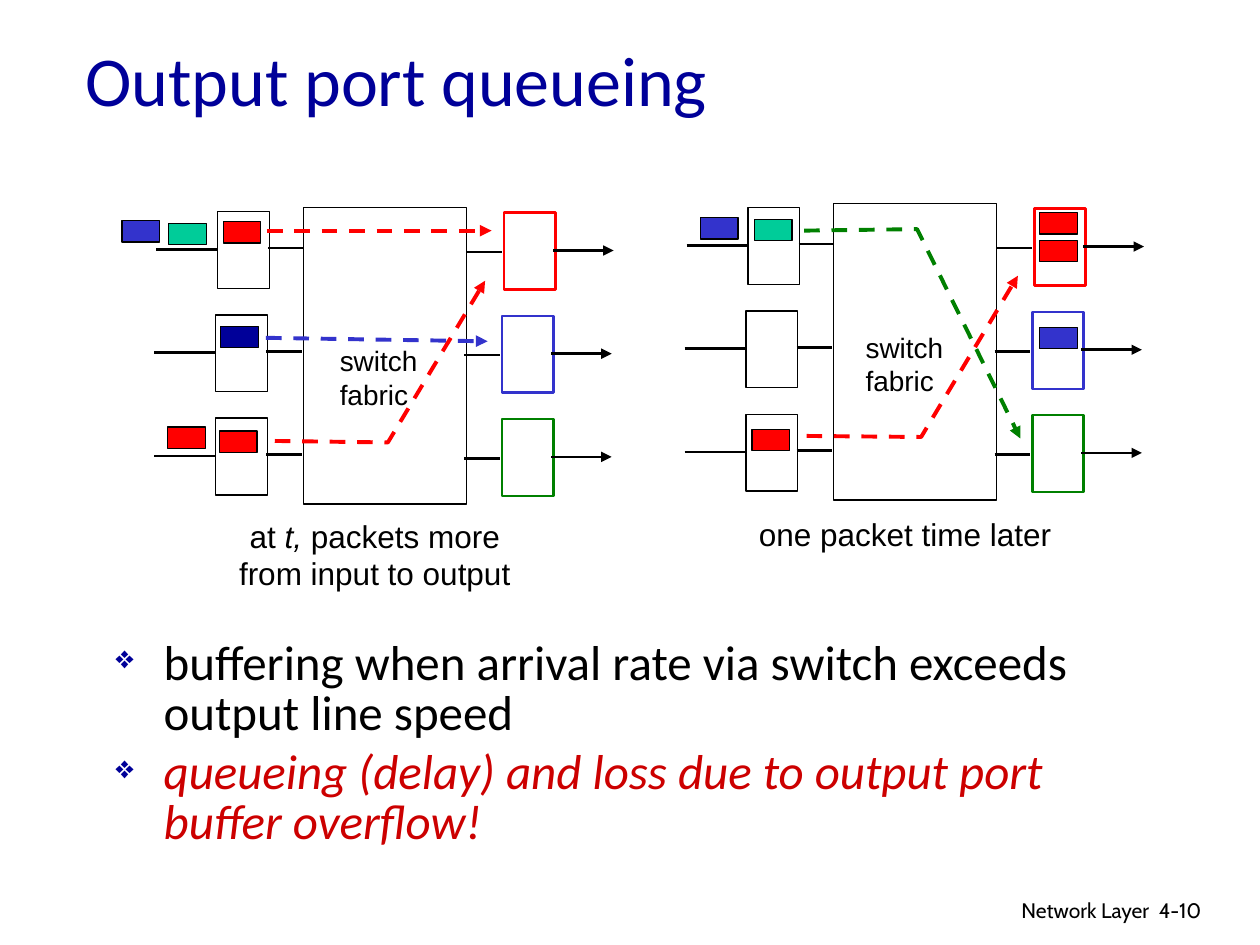
import dataclasses
import typing

import lxml.etree
import pptx
import pptx.dml.color
import pptx.enum.dml
import pptx.enum.shapes
import pptx.enum.text
import pptx.oxml.ns
import pptx.util

Cm = pptx.util.Cm
Pt = pptx.util.Pt
qn = pptx.oxml.ns.qn
Align = pptx.enum.text.PP_ALIGN


@dataclasses.dataclass(frozen=True)
class Theme:
    black: str = "000000"
    white: str = "FFFFFF"
    navy: str = "000099"
    red: str = "FF0000"
    blue: str = "3333CC"
    green: str = "008000"
    teal: str = "00CC99"
    crimson: str = "CC0000"
    heading_font: str = "Calibri"
    diagram_font: str = "Arial"
    footer_font: str = "Cabin"
    title_size: float = 40
    body_size: float = 28
    caption_size: float = 18
    label_size: float = 16
    footer_size: float = 12
    thin: float = 0.75
    medium: float = 1.5
    thick: float = 2.25


THEME = Theme()


class Box(typing.NamedTuple):
    left: float
    top: float
    width: float
    height: float


class Point(typing.NamedTuple):
    x: float
    y: float


class Packet(typing.NamedTuple):
    left: float
    top: float
    color: str


class Route(typing.NamedTuple):
    color: str
    points: tuple[Point, ...]


class Link(typing.NamedTuple):
    dx: float
    dy: float
    length: float
    arrow: bool = False


class TextStyle(typing.NamedTuple):
    font: str
    size: float
    color: str = THEME.black
    align: typing.Any = Align.LEFT


FABRIC_WIDTH, FABRIC_HEIGHT = 3.28, 5.97
PORT_WIDTH, PORT_HEIGHT = 1.04, 1.55
PACKET_WIDTH, PACKET_HEIGHT = 0.76, 0.43
ROW_PITCH, ROW_SHIFT = 2.08, -0.04
INPUT_PORT, OUTPUT_PORT = Point(-1.73, 0.08), Point(4.04, 0.1)
LINKS = (
    Link(3.28, 0.89, 0.71),
    Link(-0.71, 0.81, 0.71),
    Link(-2.97, 0.84, 1.23),
    Link(5.03, 0.86, 1.22, arrow=True),
)
SWITCHES = (Point(6.12, 4.19), Point(16.81, 4.11))
PACKETS = (
    Packet(2.46, 4.45, THEME.blue),
    Packet(3.4, 4.5, THEME.teal),
    Packet(4.5, 4.47, THEME.red),
    Packet(4.45, 6.58, THEME.navy),
    Packet(3.38, 8.61, THEME.red),
    Packet(4.42, 8.69, THEME.red),
    Packet(14.12, 4.39, THEME.blue),
    Packet(15.21, 4.42, THEME.teal),
    Packet(15.16, 8.66, THEME.red),
    Packet(20.96, 4.29, THEME.red),
    Packet(20.96, 4.85, THEME.red),
    Packet(20.96, 6.6, THEME.blue),
)
ROUTES = (
    Route(THEME.red, (Point(5.38, 4.65), Point(9.91, 4.65))),
    Route(THEME.blue, (Point(5.36, 6.81), Point(9.83, 6.88))),
    Route(THEME.red, (Point(5.54, 8.89), Point(7.82, 8.92), Point(9.78, 5.66))),
    Route(THEME.red, (Point(16.26, 8.79), Point(18.57, 8.81), Point(20.52, 5.56))),
    Route(THEME.green, (Point(16.21, 4.65), Point(18.49, 4.62), Point(20.57, 8.84))),
)


def rgb(color: str) -> pptx.dml.color.RGBColor:
    return pptx.dml.color.RGBColor.from_string(color)


def style_line(stroke, color: str, weight: float, arrow: bool = False, dashed: bool = False) -> None:
    stroke.line.color.rgb = rgb(color)
    stroke.line.width = Pt(weight)
    if dashed:
        stroke.line.dash_style = pptx.enum.dml.MSO_LINE.DASH
    if arrow:
        outline = stroke.element.spPr.find(qn("a:ln"))
        lxml.etree.SubElement(outline, qn("a:tailEnd"), type="triangle")


def draw_rect(slide, box: Box, fill: str, outline: str = THEME.black, weight: float = THEME.thin) -> None:
    rect = slide.shapes.add_shape(pptx.enum.shapes.MSO_SHAPE.RECTANGLE, *map(Cm, box))
    rect.shadow.inherit = False
    rect.fill.solid()
    rect.fill.fore_color.rgb = rgb(fill)
    style_line(rect, outline, weight)


def draw_line(slide, start: Point, end: Point, color: str = THEME.black,
              weight: float = THEME.medium, arrow: bool = False, dashed: bool = False) -> None:
    line = slide.shapes.add_connector(
        pptx.enum.shapes.MSO_CONNECTOR.STRAIGHT, *map(Cm, (*start, *end)))
    style_line(line, color, weight, arrow, dashed)
    lxml.etree.SubElement(line.element.spPr, qn("a:effectLst"))


def draw_route(slide, route: Route) -> None:
    if len(route.points) == 2:
        draw_line(slide, *route.points, route.color, THEME.thick, arrow=True, dashed=True)
        return
    start, *bends = [(Cm(point.x), Cm(point.y)) for point in route.points]
    builder = slide.shapes.build_freeform(*start)
    builder.add_line_segments(bends, close=False)
    path = builder.convert_to_shape()
    path.shadow.inherit = False
    path.fill.background()
    style_line(path, route.color, THEME.thick, arrow=True, dashed=True)


def draw_switch(slide, origin: Point) -> None:
    draw_rect(slide, Box(*origin, FABRIC_WIDTH, FABRIC_HEIGHT), THEME.white)
    for row, output_color in enumerate((THEME.red, THEME.blue, THEME.green)):
        x = origin.x + (ROW_SHIFT if row else 0)
        y = origin.y + row * ROW_PITCH
        for port, color, weight in ((INPUT_PORT, THEME.black, THEME.thin),
                                    (OUTPUT_PORT, output_color, THEME.medium)):
            draw_rect(slide, Box(x + port.x, y + port.y, PORT_WIDTH, PORT_HEIGHT),
                      THEME.white, color, weight)
        for link in LINKS:
            start = Point(x + link.dx, y + link.dy)
            draw_line(slide, start, Point(start.x + link.length, start.y), arrow=link.arrow)


def add_text(slide, box: Box, lines: typing.Sequence[str], style: TextStyle, wrap: bool = True):
    frame = slide.shapes.add_textbox(*map(Cm, box)).text_frame
    frame.word_wrap = wrap
    for index, line in enumerate(lines):
        paragraph = frame.paragraphs[0] if index == 0 else frame.add_paragraph()
        paragraph.alignment = style.align
        paragraph.font.name = style.font
        paragraph.font.size = Pt(style.size)
        paragraph.font.color.rgb = rgb(style.color)
        if line:
            paragraph.add_run().text = line
    return frame


def add_bullet(paragraph) -> None:
    paragraph.line_spacing = 0.85
    paragraph.space_before = Pt(0.2 * THEME.body_size)
    properties = paragraph.font._element.getparent()
    properties.set("marL", str(Cm(0.97)))
    properties.set("indent", str(-Cm(0.97)))
    defaults = properties.find(qn("a:defRPr"))
    bullet_color = lxml.etree.Element(qn("a:buClr"))
    lxml.etree.SubElement(bullet_color, qn("a:srgbClr"), val=THEME.navy)
    for item in (bullet_color,
                 lxml.etree.Element(qn("a:buSzPct"), val="65000"),
                 lxml.etree.Element(qn("a:buChar"), char="❖")):
        defaults.addprevious(item)


def main() -> None:
    deck = pptx.Presentation()
    deck.slide_width, deck.slide_height = Cm(25.4), Cm(19.05)
    slide = deck.slides.add_slide(deck.slide_layouts[6])

    footer = TextStyle(THEME.footer_font, THEME.footer_size)
    add_text(slide, Box(15.37, 17.96, 8.05, 0.79), ["Network Layer"], footer._replace(align=Align.RIGHT))
    add_text(slide, Box(23.11, 17.96, 1.88, 0.76), ["4-10"], footer)
    title = add_text(slide, Box(1.47, 0.56, 21.59, 2.03), ["Output port queueing"],
                     TextStyle(THEME.heading_font, THEME.title_size, THEME.navy))
    title.vertical_anchor = pptx.enum.text.MSO_ANCHOR.MIDDLE

    points = add_text(slide, Box(2.08, 12.78, 21.59, 3.3),
                      ["buffering when arrival rate via switch exceeds output line speed",
                       "queueing (delay) and loss due to output port buffer overflow!"],
                      TextStyle(THEME.heading_font, THEME.body_size))
    for point in points.paragraphs:
        add_bullet(point)
    warning = points.paragraphs[1].font
    warning.italic = True
    warning.color.rgb = rgb(THEME.crimson)

    for origin in SWITCHES:
        draw_switch(slide, origin)
    for packet in PACKETS:
        draw_rect(slide, Box(packet.left, packet.top, PACKET_WIDTH, PACKET_HEIGHT), packet.color)
    for route in ROUTES:
        draw_route(slide, route)

    label = TextStyle(THEME.diagram_font, THEME.label_size)
    for corner in (Point(6.6, 6.81), Point(17.2, 6.53)):
        add_text(slide, Box(*corner, 2.08, 1.63), ["switch", "fabric"], label, wrap=False)
    caption = TextStyle(THEME.diagram_font, THEME.caption_size, align=Align.CENTER)
    before = add_text(slide, Box(4.14, 10.29, 6.83, 1.78), ["", "from input to output"], caption)
    for words, italic in (("at ", False), ("t,", True), (" packets more", False)):
        run = before.paragraphs[0].add_run()
        run.text = words
        run.font.italic = italic
    add_text(slide, Box(14.83, 10.26, 6.83, 1.02), ["one packet time later"], caption)

    deck.save("out.pptx")


if __name__ == "__main__":
    main()
